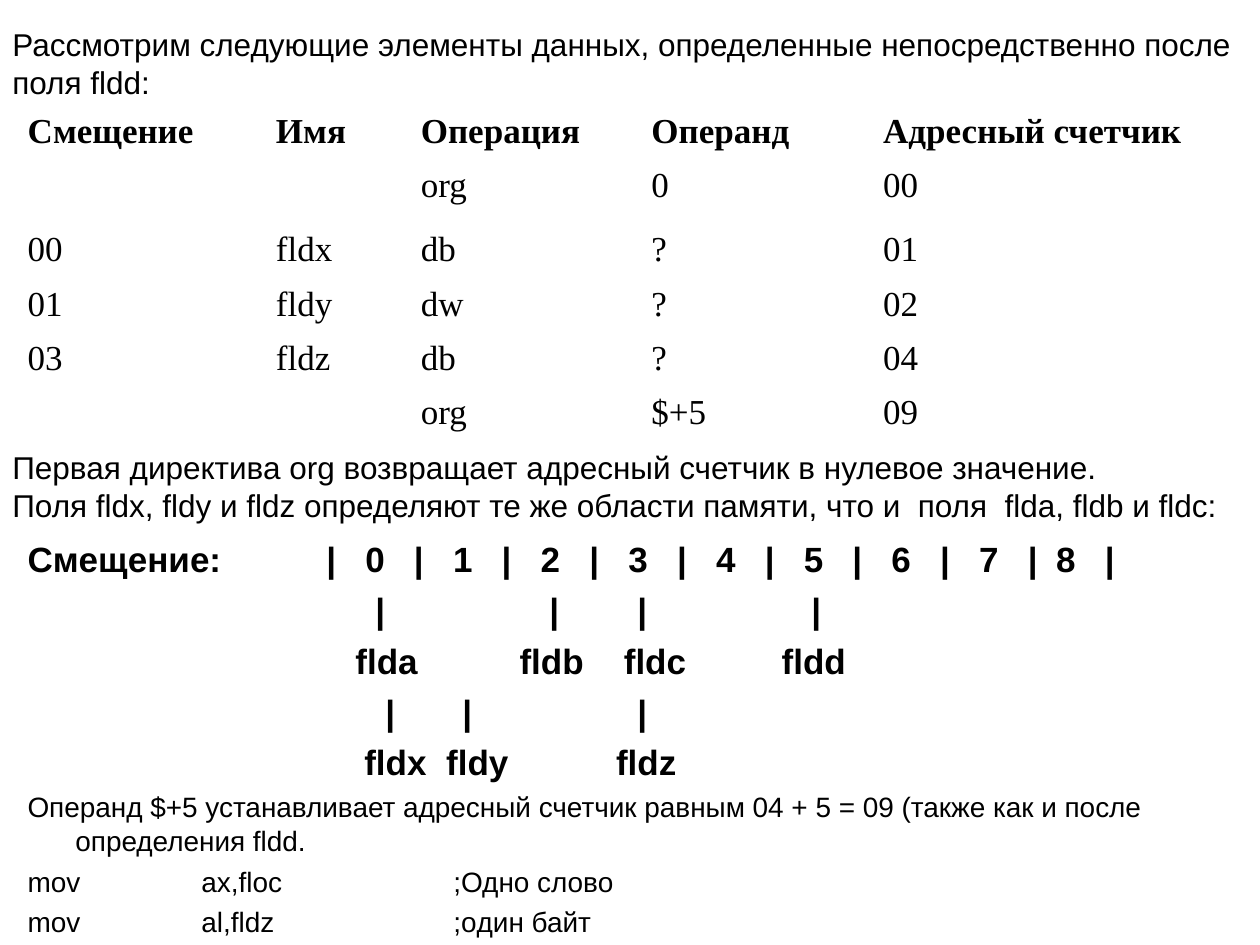
"""Build a slide on how the org directive resets the address counter."""
import lxml.etree
import pptx
import pptx.dml.color
import pptx.oxml.ns
import pptx.util

Inches = pptx.util.Inches
COLORS = {"ink": "000000"}
SANS, SERIF = "Arial", "Times New Roman"

HEAD = ["Смещение", "Имя", "Операция", "Операнд", "Адресный счетчик"]
ROWS = [
    HEAD,
    ["", "", "org", "0", "00"],
    ["00", "fldx", "db", "?", "01"],
    ["01", "fldy", "dw", "?", "02"],
    ["03", "fldz", "db", "?", "04"],
    ["", "", "org", "$+5", "09"],
]
WIDTHS = [1.97, 1.15, 1.83, 1.84, 2.98]
HEIGHTS = [0.43, 0.51, 0.43, 0.43, 0.43, 0.51]

SCALE = [2.41 + 0.348 * step for step in range(17)] + [8.24, 8.59]
MARKS = [mark for digit in range(9) for mark in ("|", str(digit))] + ["|"]
FIELDS = [
    (["Смещение:"] + MARKS, SCALE),
    ([""] + ["|"] * 4, [2.8, 4.18, 4.88, 6.26]),
    (["", "flda", "fldb", "fldc", "fldd"], [2.85, 4.16, 4.98, 6.24]),
    ([""] + ["|"] * 3, [2.88, 3.49, 4.88]),
    (["", "fldx", "fldy", "fldz"], [2.92, 3.57, 4.91]),
]
CODE = [["mov", "ax,floc", ";Одно слово"], ["mov", "al,fldz", ";oдин байт"]]


def write(para, text, font=SANS, size=18, bold=False, before=0, hang=0,
          tabs=(), align="ctr"):
    """Put formatted text into a paragraph, with optional tab stops."""
    para.space_before = pptx.util.Pt(before)
    props = para._p.get_or_add_pPr()
    if hang:
        props.set("marL", str(Inches(hang)))
        props.set("indent", str(-Inches(hang)))
    if tabs:
        stops = lxml.etree.SubElement(props, pptx.oxml.ns.qn("a:tabLst"))
        for place in tabs:
            lxml.etree.SubElement(stops, pptx.oxml.ns.qn("a:tab"),
                                  pos=str(Inches(place)), algn=align)
    run = para.add_run()
    run.text = text
    run.font.name = font
    run.font.size = pptx.util.Pt(size)
    run.font.bold = bold
    run.font.color.rgb = pptx.dml.color.RGBColor.from_string(COLORS["ink"])


class Page:
    """Hold the slide and add each kind of element to it."""

    def __init__(self, slide):
        self.slide = slide

    def box(self, left, top, width, height, lines):
        """Add a text box; each line is a text and its format."""
        area = map(Inches, (left, top, width, height))
        frame = self.slide.shapes.add_textbox(*area).text_frame
        frame.word_wrap = True
        for index, (text, style) in enumerate(lines):
            para = frame.add_paragraph() if index else frame.paragraphs[0]
            write(para, text, **style)

    def table(self, left, top, rows, widths, heights):
        """Add a plain table with a bold first row."""
        area = map(Inches, (left, top, sum(widths), sum(heights)))
        table = self.slide.shapes.add_table(len(rows), len(widths), *area).table
        table.first_row = table.horz_banding = False
        for column, width in zip(table.columns, widths):
            column.width = Inches(width)
        for y, (texts, height) in enumerate(zip(rows, heights)):
            table.rows[y].height = Inches(height)
            for x, text in enumerate(texts):
                cell = table.cell(y, x)
                cell.fill.background()
                if text:
                    write(cell.text_frame.paragraphs[0], text, font=SERIF,
                          size=20, bold=y == 0)


def main():
    """Build and save the deck."""
    deck = pptx.Presentation()
    deck.slide_width, deck.slide_height = Inches(10), Inches(7.5)
    page = Page(deck.slides.add_slide(deck.slide_layouts[6]))
    page.table(0.12, 0.84, ROWS, WIDTHS, HEIGHTS)
    page.box(0, 0.15, 10, 0.7, [
        ("Рассмотрим следующие элементы данных, определенные "
         "непосредственно после поля fldd:", {})])
    page.box(0, 3.51, 10, 0.7, [
        ("Первая директива org возвращает адресный счетчик в нулевое "
         "значение.", {}),
        ("Поля fldx, fldy и fldz определяют те же области памяти, что и  "
         "поля  flda, fldb и fldc:", {})])
    lines = [("\t".join(parts), dict(size=20, bold=True, before=5, tabs=tabs))
             for parts, tabs in FIELDS]
    lines.append((
        "Операнд $+5 устанавливает адресный счетчик равным 04 + 5 = 09 "
        "(также как и после определения fldd.",
        dict(size=16, before=4, hang=0.38)))
    lines += [("\t".join(parts),
               dict(size=16, before=4, tabs=[1.38, 3.38], align="l"))
              for parts in CODE]
    page.box(0.12, 4.22, 9.88, 3.28, lines)
    deck.save("out.pptx")


if __name__ == "__main__":
    main()
